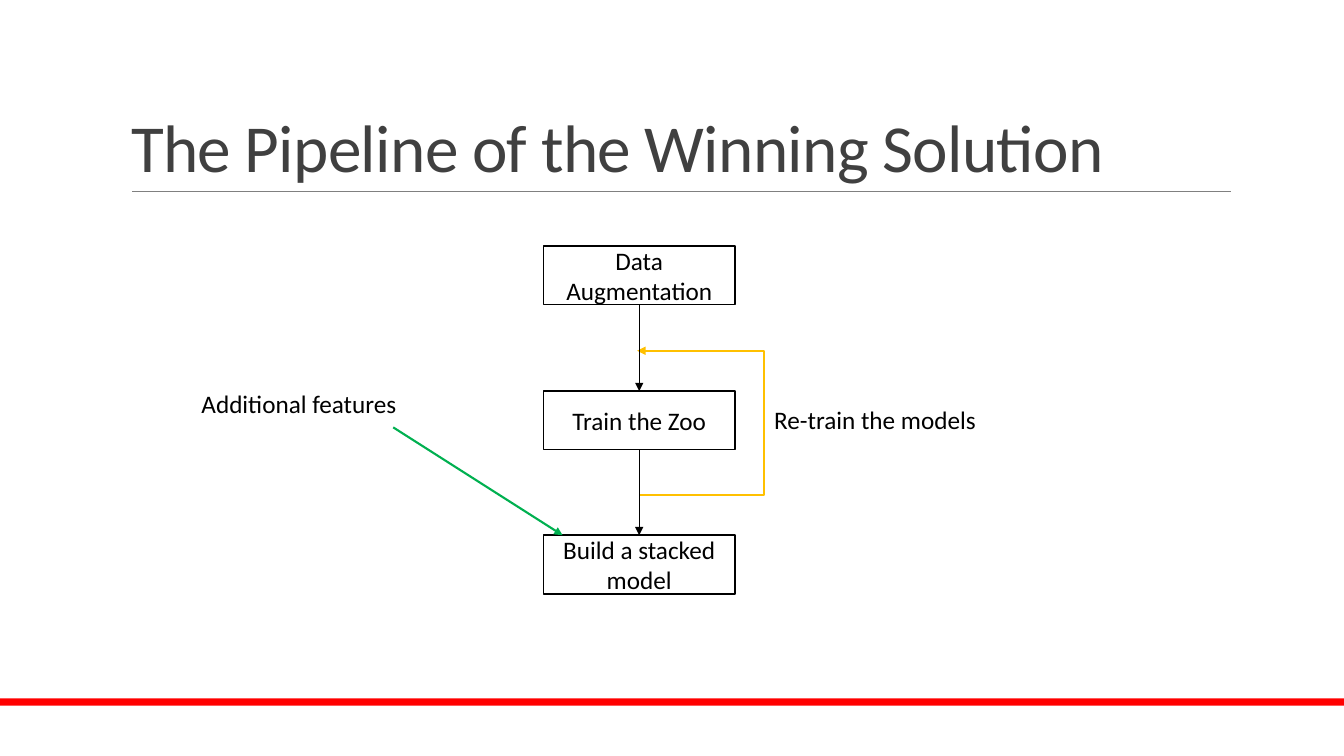
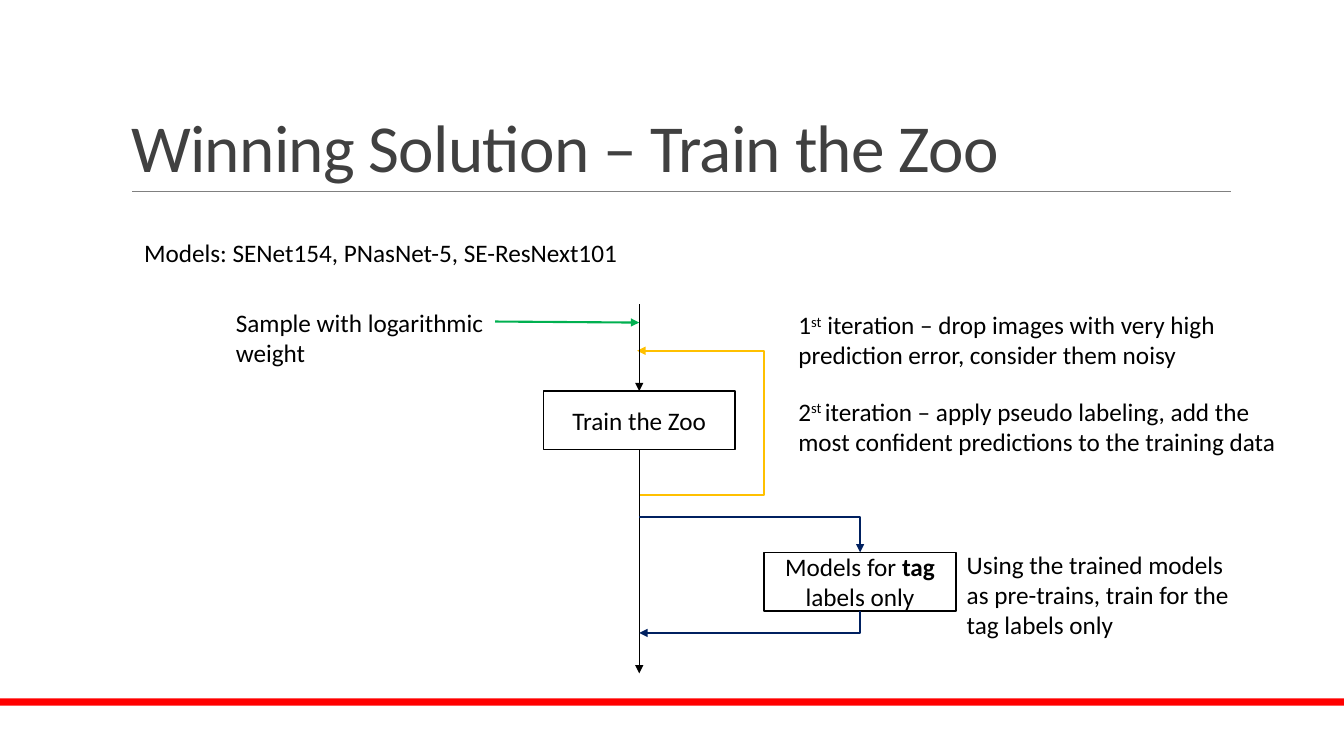
from dataclasses import dataclass

from lxml import etree
from pptx import Presentation
from pptx import util as u
from pptx.dml.color import RGBColor
from pptx.enum import shapes, text
from pptx.oxml.ns import qn

PX = 9144  # EMU per px, 100 px to the inch


@dataclass(frozen=True)
class Theme:
    font: str = "Calibri"
    title_size: int = 48
    body_size: int = 18
    title: str = "404040"
    ink: str = "000000"
    paper: str = "FFFFFF"
    rule: str = "808080"
    band: str = "FF0000"
    loop: str = "FFC000"
    feature: str = "00B050"
    branch: str = "002060"


THEME = Theme()
SLIDE_WIDTH, SLIDE_HEIGHT = 1333, 750
BOX_WIDTH, BOX_HEIGHT, STAGE_STEP = 190, 58, 144
STAGE_LEFT, STAGE_TOP = 539, 244
AXIS = STAGE_LEFT + BOX_WIDTH // 2
TRAIN_TOP = STAGE_TOP + STAGE_STEP


def px(*lengths):
    return [u.Emu(length * PX) for length in lengths]


def color(value):
    return RGBColor.from_string(value)


# Text
def style_font(font, size, value):
    font.name = THEME.font
    font.size = u.Pt(size)
    font.color.rgb = color(value)


def write(text_frame, parts, align=text.PP_ALIGN.LEFT):
    """Fill one paragraph; parts is a string or (string, style) pairs."""
    paragraph = text_frame.paragraphs[0]
    paragraph.alignment = align
    for words, style in [(parts, "")] if isinstance(parts, str) else parts:
        run = paragraph.add_run()
        run.text = words
        style_font(run.font, THEME.body_size, THEME.ink)
        if style == "bold":
            run.font.bold = True
        elif style == "super":
            run._r.get_or_add_rPr().set("baseline", "30000")


def add_label(slide, box, parts, wrap=True):
    label = slide.shapes.add_textbox(*px(*box))
    label.text_frame.word_wrap = wrap
    label.text_frame.auto_size = text.MSO_AUTO_SIZE.SHAPE_TO_FIT_TEXT
    write(label.text_frame, parts)


# Lines
def style_line(shape, value, width, head=False, tail=False):
    shape.line.color.rgb = color(value)
    shape.line.width = u.Pt(width)
    line = shape.element.spPr.find(qn("a:ln"))
    for tag, wanted in (("a:headEnd", head), ("a:tailEnd", tail)):
        if wanted:
            etree.SubElement(line, qn(tag)).set("type", "triangle")


def add_line(slide, start, end, value, width, head=False, tail=False, bent=False):
    kind = shapes.MSO_CONNECTOR.ELBOW if bent else shapes.MSO_CONNECTOR.STRAIGHT
    connector = slide.shapes.add_connector(kind, *px(*start, *end))
    properties = connector.element.spPr
    if bent:  # one corner: across first, then up or down
        properties.find(qn("a:prstGeom")).set("prst", "bentConnector2")
    style_line(connector, value, width, head, tail)
    etree.SubElement(properties, qn("a:effectLst"))
    return connector


def add_flow(slide, start, end, source=None, target=None):
    """Black arrow down the axis, joined to the boxes it touches."""
    arrow = add_line(slide, (AXIS, start), (AXIS, end), THEME.ink, 1, tail=True)
    if source is not None:
        arrow.begin_connect(source, 2)
    if target is not None:
        arrow.end_connect(target, 0)


# Diagram parts
def add_stage(slide, left, top, parts):
    stage = slide.shapes.add_shape(shapes.MSO_SHAPE.RECTANGLE,
                                   *px(left, top, BOX_WIDTH, BOX_HEIGHT))
    stage.shadow.inherit = False
    stage.fill.solid()
    stage.fill.fore_color.rgb = color(THEME.paper)
    style_line(stage, THEME.ink, 1.25)
    stage.text_frame.word_wrap = True
    stage.text_frame.vertical_anchor = text.MSO_ANCHOR.MIDDLE
    write(stage.text_frame, parts, text.PP_ALIGN.CENTER)
    return stage


def add_train_loop(slide, left, top):
    """The Train the Zoo box at left, top with the loop that returns above it."""
    stage = add_stage(slide, left, top, "Train the Zoo")
    middle, right = left + BOX_WIDTH // 2, left + BOX_WIDTH + 29
    above, below = top - 40, top + BOX_HEIGHT + 45
    builder = slide.shapes.build_freeform(middle - 2, above, scale=PX)
    builder.add_line_segments([(right, above), (right, below), (middle, below)],
                              close=False)
    loop = builder.convert_to_shape()
    loop.shadow.inherit = False
    loop.fill.background()
    style_line(loop, THEME.loop, 1.25, head=True)
    return stage


def add_tag_branch(slide, left, top):
    """The tag model box, fed from the axis and leading back to it."""
    middle, bottom = left + BOX_WIDTH // 2, top + BOX_HEIGHT
    add_line(slide, (AXIS, top - 35), (middle, top), THEME.branch, 1.5,
             tail=True, bent=True)
    add_stage(slide, left, top,
              [("Models for ", ""), ("tag", "bold"), (" labels only", "")])
    add_line(slide, (AXIS, bottom + 22), (middle, bottom), THEME.branch, 1.5,
             head=True, bent=True)
    add_label(slide, (left + BOX_WIDTH + 1, top - 8, 294, 101),
              "Using the trained models as pre-trains, train for the tag labels only")


# Shared frame
def decorate_layout(slide):
    """Draw the footer band and title rule, then hand them to the layout."""
    band = slide.shapes.add_shape(shapes.MSO_SHAPE.RECTANGLE,
                                  *px(0, 693, SLIDE_WIDTH, 7))
    band.shadow.inherit = False
    band.fill.solid()
    band.fill.fore_color.rgb = color(THEME.band)
    band.line.fill.background()
    rule = add_line(slide, (131, 190), (1221, 190), THEME.rule, 0.5)
    for number, shape in enumerate((band, rule), start=101):
        shape.element.xpath(".//p:cNvPr")[0].set("id", str(number))
        slide.slide_layout.shapes.element.append(shape.element)


def add_titled_slide(presentation, words):
    slide = presentation.slides.add_slide(presentation.slide_layouts[5])
    title = slide.shapes.title
    title.left, title.top, title.width, title.height = px(120, 31, 1100, 159)
    frame = title.text_frame
    frame.text = words
    frame.auto_size = text.MSO_AUTO_SIZE.NONE
    frame.vertical_anchor = text.MSO_ANCHOR.BOTTOM
    paragraph = frame.paragraphs[0]
    paragraph.alignment = text.PP_ALIGN.LEFT
    paragraph.line_spacing = 0.85
    for run in paragraph.runs:
        style_font(run.font, THEME.title_size, THEME.title)
        run._r.get_or_add_rPr().set("spc", "-50")
    return slide


# Slides
def build_pipeline(presentation):
    slide = add_titled_slide(presentation, "The Pipeline of the Winning Solution")
    decorate_layout(slide)
    stacked_top = TRAIN_TOP + STAGE_STEP - 1
    augment = add_stage(slide, STAGE_LEFT, STAGE_TOP, "Data Augmentation")
    train = add_train_loop(slide, STAGE_LEFT, TRAIN_TOP)
    stacked = add_stage(slide, STAGE_LEFT, stacked_top, "Build a stacked model")
    add_flow(slide, STAGE_TOP + BOX_HEIGHT, TRAIN_TOP, augment, train)
    add_flow(slide, TRAIN_TOP + BOX_HEIGHT, stacked_top, train, stacked)
    add_label(slide, (758, 396, 223, 40), "Re-train the models", wrap=False)
    add_line(slide, (390, 424), (558, stacked_top), THEME.feature, 1.5, tail=True)
    add_label(slide, (190, 380, 216, 40), "Additional features", wrap=False)


def build_training(presentation):
    slide = add_titled_slide(presentation, "Winning Solution – Train the Zoo")
    train = add_train_loop(slide, STAGE_LEFT, TRAIN_TOP)
    add_flow(slide, STAGE_TOP + BOX_HEIGHT, TRAIN_TOP, target=train)
    add_flow(slide, TRAIN_TOP + BOX_HEIGHT, 668, source=train)
    add_label(slide, (782, 302, 488, 71), [
        ("1", ""), ("st", "super"),
        (" iteration – drop images with very high prediction error, "
         "consider them noisy", "")])
    add_label(slide, (782, 388, 516, 71), [
        ("2", ""), ("st ", "super"),
        ("iteration – apply pseudo labeling, add the most confident "
         "predictions to the training data", "")])
    add_label(slide, (133, 231, 495, 40),
              "Models: SENet154, PNasNet-5, SE-ResNext101", wrap=False)
    add_line(slide, (491, 319), (AXIS, 320), THEME.feature, 1.5, tail=True)
    add_label(slide, (224, 300, 267, 73), "Sample with logarithmic weight")
    add_tag_branch(slide, 758, 548)


def main():
    presentation = Presentation()
    presentation.slide_width, presentation.slide_height = px(SLIDE_WIDTH, SLIDE_HEIGHT)
    build_pipeline(presentation)
    build_training(presentation)
    presentation.save("out.pptx")


if __name__ == "__main__":
    main()
